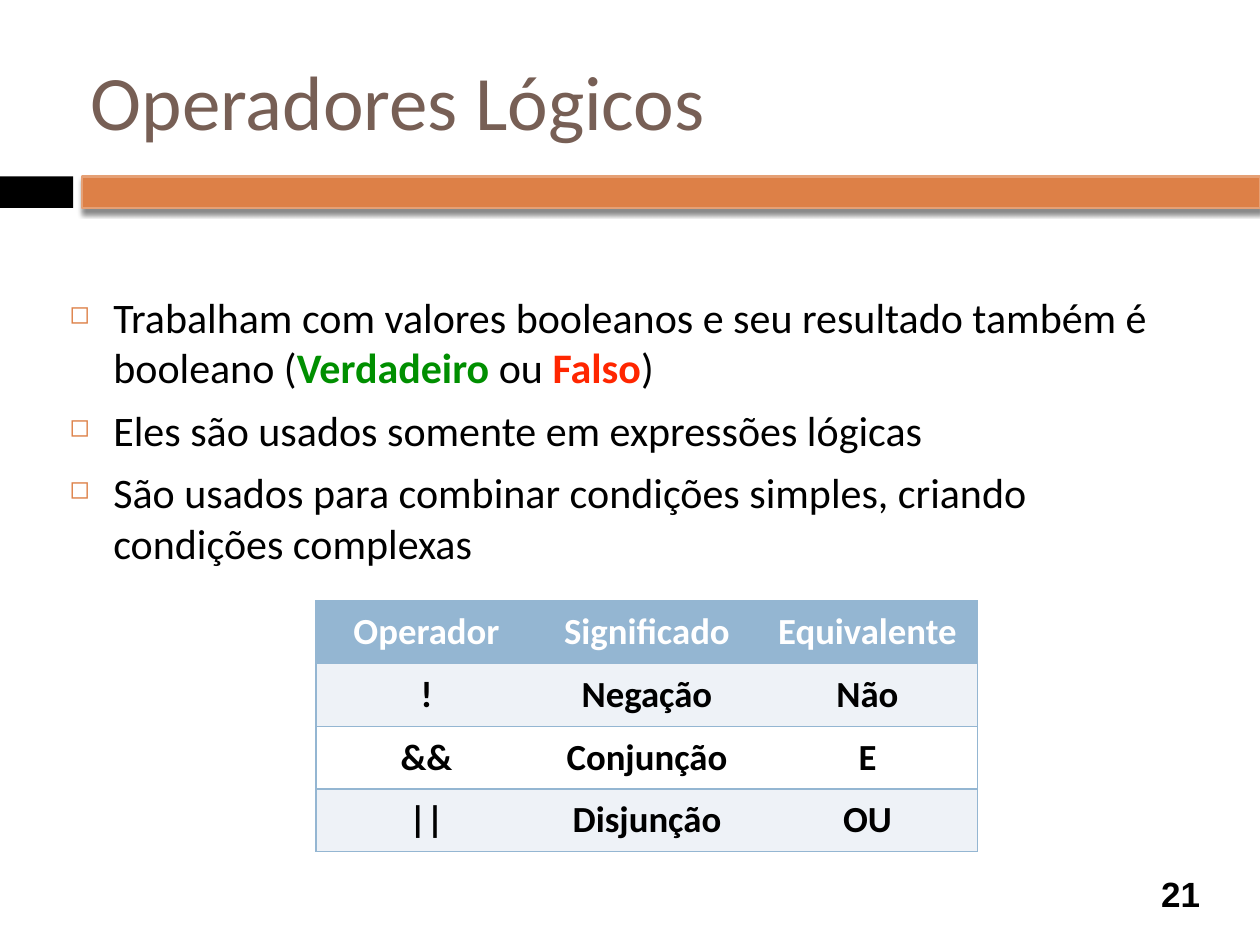
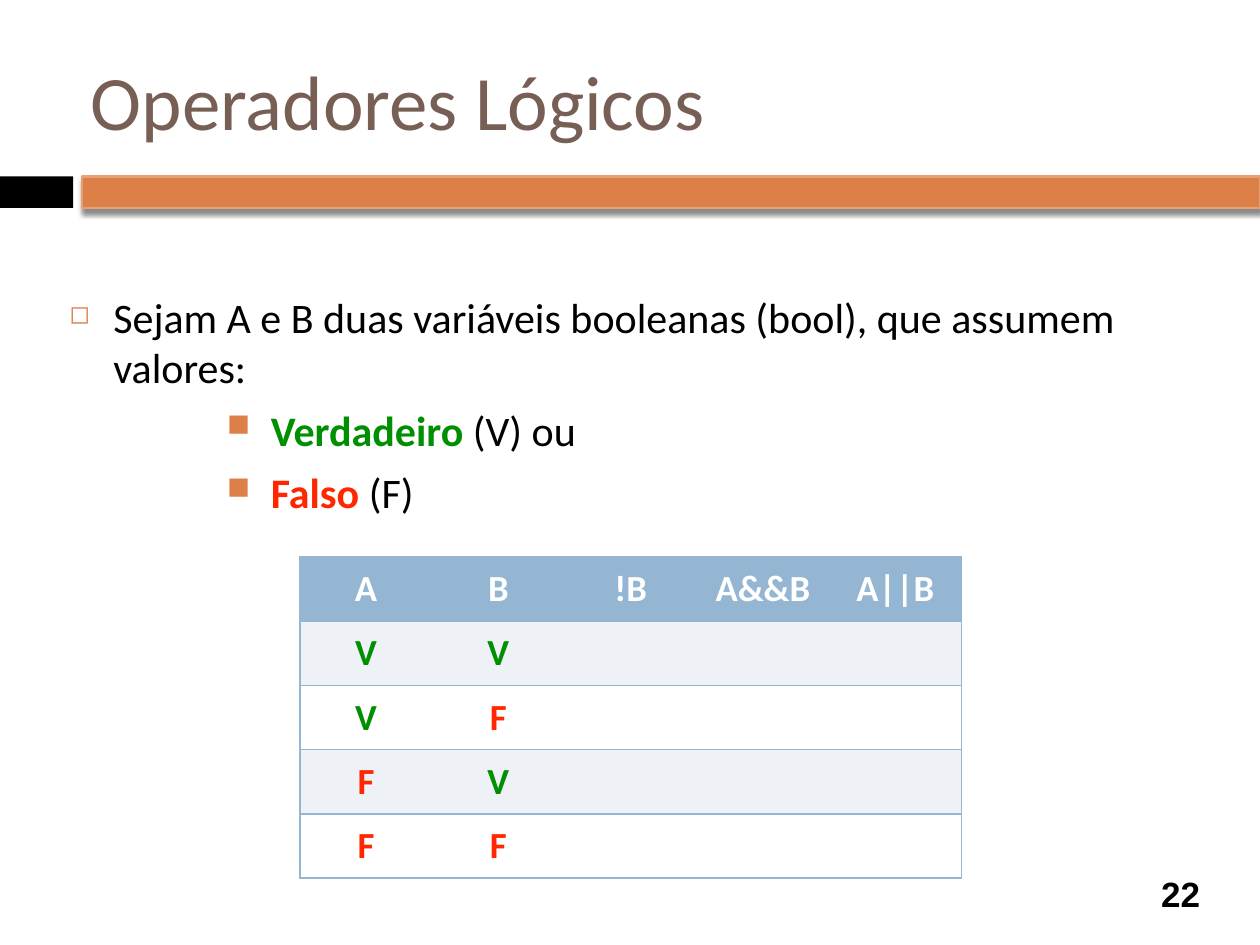
from dataclasses import dataclass

from lxml import etree
from pptx import Presentation
from pptx.dml.color import RGBColor
from pptx.enum import shapes, text
from pptx.oxml import ns
from pptx.util import Inches, Pt


@dataclass(frozen=True)
class Theme:
    font: str = "Calibri"
    digits: str = "Arial"
    title: str = "775F55"
    ink: str = "000000"
    paper: str = "FFFFFF"
    accent: str = "DD8047"
    edge: str = "E5A075"
    head: str = "94B6D2"
    stripe: str = "EEF2F7"
    true: str = "008F00"
    false: str = "FF2600"
    title_size: int = 44
    body_size: int = 24
    cell_size: int = 21
    page_size: int = 20


T = Theme()
MID = text.MSO_ANCHOR.MIDDLE
CENTER = text.PP_ALIGN.CENTER
TRUE = ("Verdadeiro", T.true)
FALSE = ("Falso", T.false)
# Per level: left margin, bullet sign, bullet size in percent
MARKS = {0: (0.35, "◻", 60), 3: (1.6, "■", 75)}
HANG = 0.35


def node(parent, tag, **attrs):
    item = etree.SubElement(parent, ns.qn(tag))
    for key, value in attrs.items():
        item.set(key, str(value))
    return item


def rgb(code):
    return RGBColor.from_string(code)


def write(para, words, size, color, bold=False, font=T.font):
    run = para.add_run()
    run.text = words
    look = {"size": Pt(size), "bold": bold, "name": font}
    for key, value in look.items():
        setattr(run.font, key, value)
    run.font.color.rgb = rgb(color)


def frame(slide, box, anchor=MID, top=0.05):
    """Add a wrapping text box and return its text frame."""
    area = slide.shapes.add_textbox(*map(Inches, box)).text_frame
    look = {"word_wrap": True, "vertical_anchor": anchor,
            "margin_left": Inches(0.05), "margin_right": Inches(0.05),
            "margin_top": Inches(top), "margin_bottom": Inches(0.05)}
    for key, value in look.items():
        setattr(area, key, value)
    return area


def band(slide, left, width, fill):
    bar = slide.shapes.add_shape(
        shapes.MSO_SHAPE.RECTANGLE,
        *map(Inches, (left, 1.4, width, 0.25)))
    bar.shadow.inherit = False
    bar.fill.solid()
    bar.fill.fore_color.rgb = rgb(fill)
    bar.line.fill.background()
    return bar


def trim(bar):
    """Give a band its pale outline and soft drop shadow."""
    bar.line.color.rgb = rgb(T.edge)
    bar.line.width = Pt(1.5)
    effects = bar._element.spPr.find(ns.qn("a:effectLst"))
    shade = node(effects, "a:outerShdw", blurRad=Pt(3), dist=Pt(2.4),
                 dir=90 * 60000, rotWithShape=0)
    color = node(shade, "a:srgbClr", val=T.ink)
    node(color, "a:alpha", val=45000)


def base(deck, title, page):
    """Add a slide with the shared bands, title and page number."""
    slide = deck.slides.add_slide(deck.slide_layouts[6])
    band(slide, 0, 0.58, T.ink)
    trim(band(slide, 0.65, 9.35, T.accent))
    head = frame(slide, (0.67, 0.25, 8.92, 1.08))
    write(head.paragraphs[0], title, T.title_size, T.title)
    foot = frame(slide, (9.08, 6.89, 0.58, 0.41)).paragraphs[0]
    foot.alignment = CENTER
    write(foot, str(page), T.page_size, T.ink, True, T.digits)
    return slide


def mark(para, level):
    left, sign, size = MARKS[level]
    para.level = level
    props = para._p.get_or_add_pPr()
    props.set("marL", str(Inches(left)))
    props.set("indent", str(-Inches(HANG)))
    node(node(props, "a:buClr"), "a:srgbClr", val=T.accent)
    node(props, "a:buSzPct", val=size * 1000)
    node(props, "a:buChar", char=sign)


def body(slide, height, items):
    """Write (level, parts) items; a part is plain text or (text, color)."""
    area = frame(slide, (0.5, 1.75, 9, height), text.MSO_ANCHOR.TOP, 0.56)
    for i, (level, parts) in enumerate(items):
        para = area.add_paragraph() if i else area.paragraphs[0]
        para.space_before = Pt(7 if i else 0)
        mark(para, level)
        for part in parts:
            if isinstance(part, tuple):
                write(para, part[0], T.body_size, part[1], True)
            else:
                write(para, part, T.body_size, T.ink)


def border(cell, first, last):
    """Rule every row; close the sides only at the table's ends."""
    props = cell._tc.get_or_add_tcPr()
    sides = {"L": first, "R": last, "T": True, "B": True}
    for i, (side, shown) in enumerate(sides.items()):
        line = node(props, f"a:ln{side}", w=Pt(1))
        if shown:
            node(node(line, "a:solidFill"), "a:srgbClr", val=T.head)
        else:
            node(line, "a:noFill")
        props.insert(i, line)


def grid(slide, left, top, width, height, rows, tints):
    """Draw a striped table; tints maps a word to its own color."""
    count = len(rows[0])
    table = slide.shapes.add_table(
        len(rows), count, *map(Inches, (left, top, width, height))).table
    table.first_row = table.horz_banding = False
    for r, row in enumerate(rows):
        fill = (T.stripe if r % 2 else T.paper) if r else T.head
        for c, words in enumerate(row):
            cell = table.cell(r, c)
            cell.fill.solid()
            cell.fill.fore_color.rgb = rgb(fill)
            cell.vertical_anchor = MID
            for side in ("left", "right", "top", "bottom"):
                setattr(cell, f"margin_{side}", Inches(0.07))
            border(cell, c == 0, c == count - 1)
            if words:
                para = cell.text_frame.paragraphs[0]
                para.alignment = CENTER
                color = tints.get(words, T.ink) if r else T.paper
                write(para, words, T.cell_size, color, True)


def main():
    deck = Presentation()
    deck.slide_width, deck.slide_height = Inches(10), Inches(7.5)
    title = "Operadores Lógicos"

    slide = base(deck, title, 21)
    body(slide, 3.5, [
        (0, ["Trabalham com valores booleanos e seu resultado também é "
             "booleano (", TRUE, " ou ", FALSE, ")"]),
        (0, ["Eles são usados somente em expressões lógicas"]),
        (0, ["São usados para combinar condições simples, criando "
             "condições complexas"]),
    ])
    grid(slide, 2.51, 4.77, 5.25, 1.99, [
        ("Operador", "Significado", "Equivalente"),
        ("!", "Negação", "Não"),
        ("&&", "Conjunção", "E"),
        ("||", "Disjunção", "OU"),
    ], {})

    slide = base(deck, title, 22)
    body(slide, 2.61, [
        (0, ["Sejam A e B duas variáveis booleanas (bool), que assumem "
             "valores:"]),
        (3, [TRUE, " (V) ou"]),
        (3, [FALSE, " (F)"]),
    ])
    pairs = [(a, b, "", "", "") for a in "VF" for b in "VF"]
    grid(slide, 2.38, 4.42, 5.25, 2.55,
         [("A", "B", "!B", "A&&B", "A||B")] + pairs,
         {"V": T.true, "F": T.false})

    deck.save("out.pptx")


if __name__ == "__main__":
    main()
